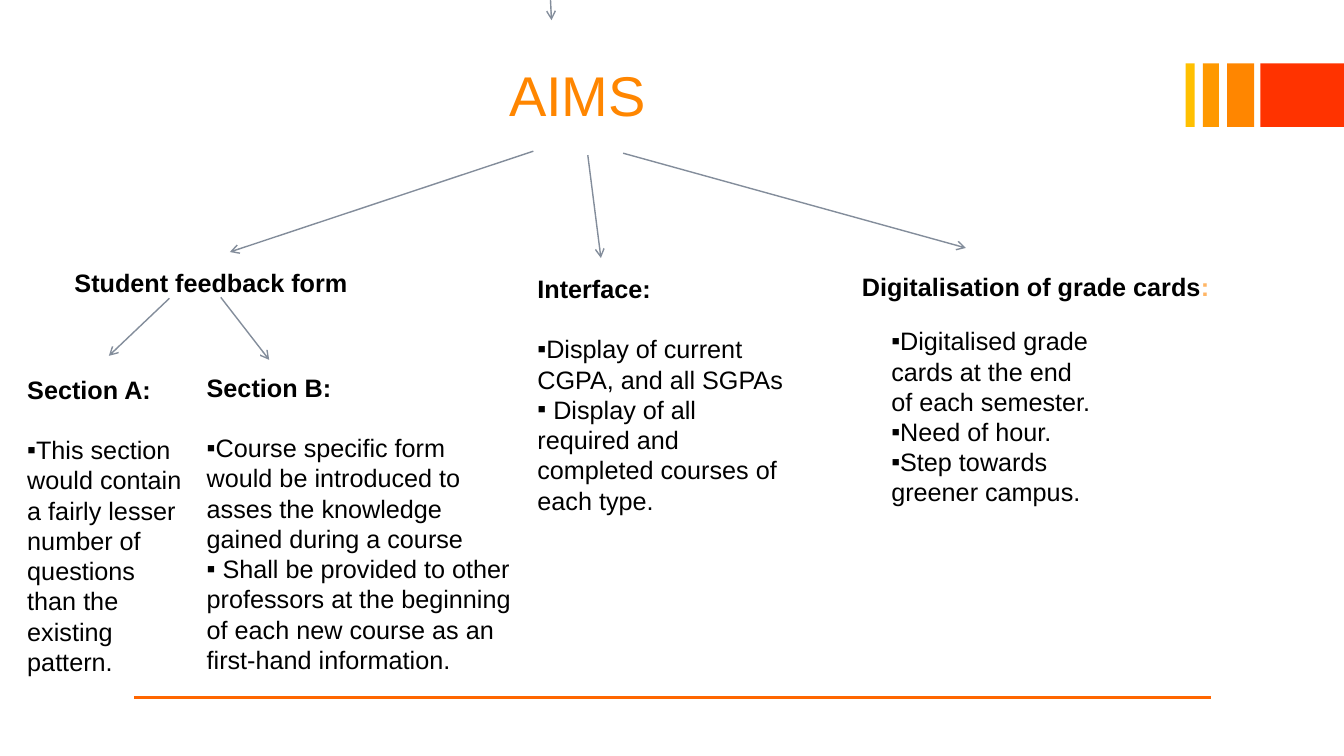
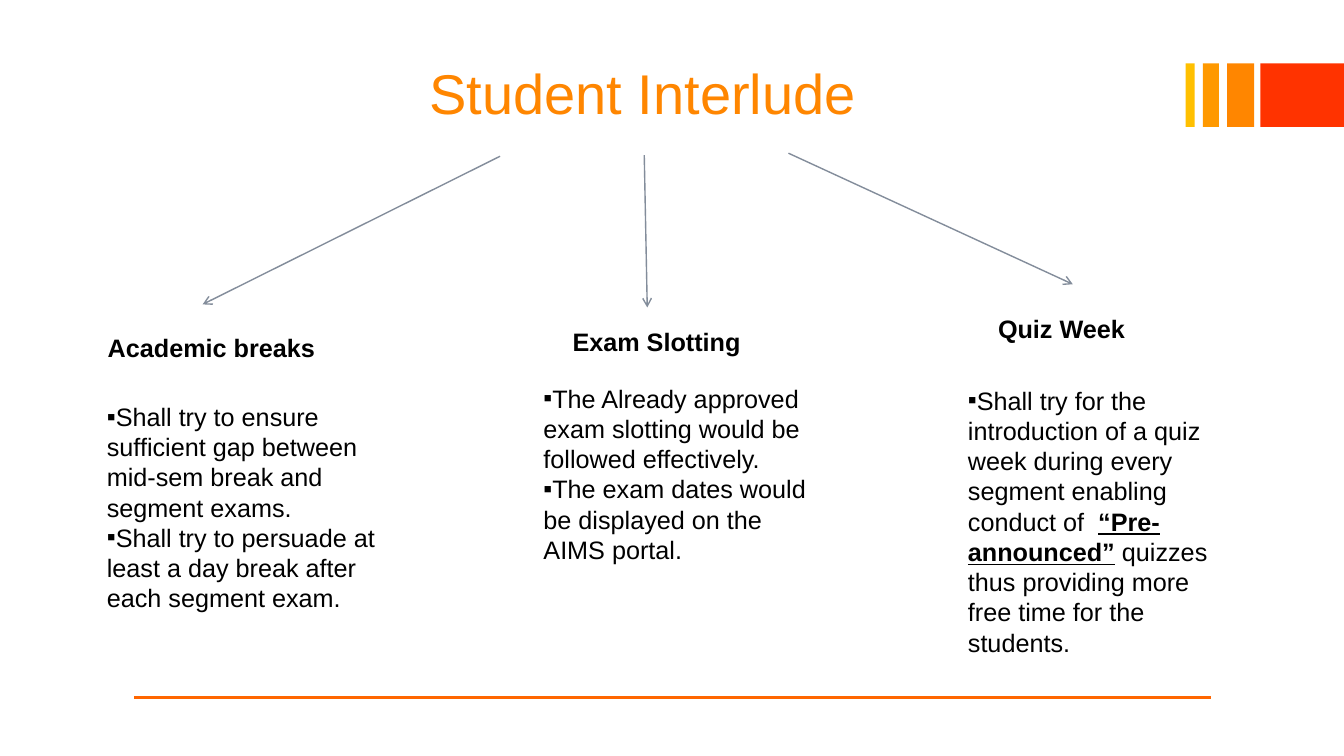
"""Build two branching slides about academic aims and student breaks."""
from dataclasses import dataclass

from lxml import etree
from pptx import Presentation
from pptx import util as u
from pptx.dml.color import RGBColor
from pptx.enum import shapes, text
from pptx.oxml.ns import qn

COLORS = {
    "title": "FF8600",
    "text": "000000",
    "colon": "FFB666",
    "arrow": "838D9B",
    "rule": "FF6600",
    "yellow": "FFC000",
    "amber": "FF9900",
    "orange": "FF8600",
    "red": "FF3300",
}
FONT = "Arial"
BODY_SIZE = 18
LINE_PITCH = 21.6
STRIPE_TOP = STRIPE_HEIGHT = 0.63
COMPARISON_LAYOUT = 4


@dataclass(frozen=True)
class Box:
    """Position and size in inches."""
    left: float
    top: float
    width: float
    height: float


@dataclass(frozen=True)
class Stripe:
    """One colour stripe of the corner band."""
    left: float
    width: float
    color: str


@dataclass(frozen=True)
class Line:
    """Start and end of a straight line in inches."""
    start: tuple[float, float]
    end: tuple[float, float]


@dataclass(frozen=True)
class Span:
    """Text with one look."""
    text: str
    bold: bool = False
    underline: bool = False
    color: str = "text"


@dataclass(frozen=True)
class Block:
    """A heading, a bullet list, or a list under its heading."""
    box: Box
    heading: tuple[Span, ...] = ()
    items: tuple[tuple[Span, ...], ...] = ()


@dataclass(frozen=True)
class Page:
    """Everything that differs from slide to slide."""
    title: str
    title_box: Box
    arrows: tuple[Line, ...]
    blocks: tuple[Block, ...]


def heading(words: str) -> tuple[Span, ...]:
    """Return a bold heading."""
    return (Span(words, bold=True),)


def bullets(*items: str) -> tuple[tuple[Span, ...], ...]:
    """Return plain bullet items."""
    return tuple((Span(item),) for item in items)


STRIPES = (
    Stripe(11.76, 0.09, "yellow"),
    Stripe(11.93, 0.16, "amber"),
    Stripe(12.17, 0.27, "orange"),
    Stripe(12.5, 0.83, "red"),
)
FOOTER_RULE = Line((1.33, 6.92), (12.01, 6.92))

PAGES = (
    Page(
        "AIMS",
        Box(4.95, 0.3, 1.59, 1.26),
        (
            Line((5.29, 1.5), (2.28, 2.5)),
            Line((5.46, 0), (5.47, 0.2)),
            Line((5.83, 1.54), (5.96, 2.56)),
            Line((6.18, 1.52), (9.58, 2.46)),
            Line((1.68, 2.96), (1.08, 3.53)),
            Line((2.19, 2.95), (2.67, 3.57)),
        ),
        (
            Block(Box(0.64, 2.6, 2.92, 0.4), heading("Student feedback form")),
            Block(Box(0.17, 3.66, 1.76, 3.13), heading("Section A:"), bullets(
                "This section would contain a fairly lesser number of questions than the existing pattern.")),
            Block(Box(1.95, 3.64, 3.25, 3.43), heading("Section B:"), bullets(
                "Course specific form would be introduced to asses the knowledge gained during a course",
                " Shall be provided to other professors at the beginning of each new course as an "
                "first-hand information.")),
            Block(Box(5.23, 2.66, 2.76, 2.52), heading("Interface:"), bullets(
                "Display of current CGPA, and all SGPAs",
                " Display of all required and completed courses of each type.")),
            Block(Box(8.45, 2.64, 3.84, 0.71), (
                Span("Digitalisation of grade cards", bold=True),
                Span(":", bold=True, color="colon"))),
            Block(Box(8.74, 3.18, 2.26, 2.53), items=bullets(
                "Digitalised grade cards at the end of each semester.",
                "Need of hour.",
                "Step towards greener campus.")),
        ),
    ),
    Page(
        "Student Interlude",
        Box(4.16, 0.28, 4.45, 1.26),
        (
            Line((4.96, 1.55), (2.01, 3.02)),
            Line((6.39, 1.54), (6.42, 3.05)),
            Line((7.82, 1.52), (10.64, 2.82)),
        ),
        (
            Block(Box(0.97, 3.25, 3.15, 0.4), heading("Academic breaks")),
            Block(Box(0.96, 3.93, 3.18, 2.52), items=bullets(
                "Shall try to ensure sufficient gap between mid-sem break and segment exams.",
                "Shall try to persuade at least a day break after each segment exam.")),
            Block(Box(5.58, 3.19, 1.99, 0.4), heading("Exam Slotting")),
            Block(Box(5.29, 3.75, 2.86, 1.92), items=bullets(
                "The Already approved exam slotting would be followed effectively.",
                "The exam dates would be displayed on the AIMS portal.")),
            Block(Box(9.8, 3.06, 1.52, 0.4), heading("Quiz Week")),
            Block(Box(9.5, 3.77, 2.67, 2.83), items=((
                Span("Shall try for the introduction of a quiz week during every segment enabling conduct of  "),
                Span("“Pre-announced”", bold=True, underline=True),
                Span(" quizzes thus providing more free time for the students.")),)),
        ),
    ),
)


def rgb(name: str) -> RGBColor:
    """Look up a colour."""
    return RGBColor.from_string(COLORS[name])


def place(shape, box: Box) -> None:
    """Move and size a shape."""
    shape.left, shape.top = u.Inches(box.left), u.Inches(box.top)
    shape.width, shape.height = u.Inches(box.width), u.Inches(box.height)


def style_run(run, span: Span, size: float) -> None:
    """Format one run."""
    run.font.name, run.font.size = FONT, u.Pt(size)
    run.font.bold, run.font.underline = span.bold, span.underline
    run.font.color.rgb = rgb(span.color)


def draw_line(slide, line: Line, color: str, width: float, arrow: bool = False) -> None:
    """Draw a rule or an arrow."""
    points = (u.Inches(value) for value in (*line.start, *line.end))
    connector = slide.shapes.add_connector(shapes.MSO_CONNECTOR.STRAIGHT, *points)
    connector.line.color.rgb = rgb(color)
    connector.line.width = u.Pt(width)
    if arrow:
        etree.SubElement(connector.line._get_or_add_ln(), qn("a:tailEnd"), type="arrow")
    etree.SubElement(connector._element.spPr, qn("a:effectLst"))


def draw_frame(slide) -> None:
    """Draw the corner band and the footer rule."""
    for stripe in STRIPES:
        shape = slide.shapes.add_shape(
            shapes.MSO_SHAPE.RECTANGLE, u.Inches(stripe.left), u.Inches(STRIPE_TOP),
            u.Inches(stripe.width), u.Inches(STRIPE_HEIGHT))
        shape.shadow.inherit = False
        shape.fill.solid()
        shape.fill.fore_color.rgb = rgb(stripe.color)
        shape.line.fill.background()
    draw_line(slide, FOOTER_RULE, "rule", 2)


def set_title(slide, page: Page) -> None:
    """Fill the title placeholder."""
    title = slide.shapes.title
    place(title, page.title_box)
    frame = title.text_frame
    frame.text = page.title
    frame.auto_size = text.MSO_AUTO_SIZE.NONE
    frame.vertical_anchor = text.MSO_ANCHOR.MIDDLE
    paragraph = frame.paragraphs[0]
    paragraph.alignment = text.PP_ALIGN.LEFT
    style_run(paragraph.runs[0], Span(page.title, color="title"), 40)


def set_bullet(paragraph, character: str | None) -> None:
    """Give a paragraph a flush bullet, or none."""
    properties = paragraph._p.get_or_add_pPr()
    properties.set("marL", "0")
    properties.set("indent", "0")
    if character:
        etree.SubElement(properties, qn("a:buFont"), typeface=FONT)
        etree.SubElement(properties, qn("a:buChar"), char=character)
    else:
        etree.SubElement(properties, qn("a:buNone"))


def fill_block(shape, block: Block) -> None:
    """Write a heading and its bullets into a shape."""
    place(shape, block.box)
    frame = shape.text_frame
    frame.word_wrap = True
    frame.auto_size = text.MSO_AUTO_SIZE.NONE
    frame.vertical_anchor = text.MSO_ANCHOR.TOP
    rows = ([block.heading] if block.heading else []) + list(block.items)
    frame.text = "\n".join("" for _ in rows)
    for paragraph, spans in zip(frame.paragraphs, rows):
        is_heading = spans is block.heading
        paragraph.alignment = text.PP_ALIGN.LEFT
        paragraph.line_spacing = u.Pt(LINE_PITCH)
        paragraph.space_before = u.Pt(0)
        paragraph.space_after = u.Pt(LINE_PITCH if is_heading and block.items else 0)
        set_bullet(paragraph, None if is_heading else "▪")
        for span in spans:
            run = paragraph.add_run()
            run.text = span.text
            style_run(run, span, BODY_SIZE)


def build_slide(presentation, page: Page) -> None:
    """Add one slide with its title, arrows and blocks."""
    slide = presentation.slides.add_slide(presentation.slide_layouts[COMPARISON_LAYOUT])
    bodies = [shape for shape in slide.placeholders if shape.placeholder_format.idx > 0]
    draw_frame(slide)
    set_title(slide, page)
    for arrow in page.arrows:
        draw_line(slide, arrow, "arrow", 1, arrow=True)
    for block in page.blocks:
        shape = bodies.pop(0) if block.items else slide.shapes.add_textbox(0, 0, 0, 0)
        fill_block(shape, block)
    for body in bodies:
        body._element.getparent().remove(body._element)


def main() -> None:
    """Build and save the presentation."""
    presentation = Presentation()
    presentation.slide_width, presentation.slide_height = u.Inches(13.33), u.Inches(7.5)
    for page in PAGES:
        build_slide(presentation, page)
    presentation.save("out.pptx")


main()
